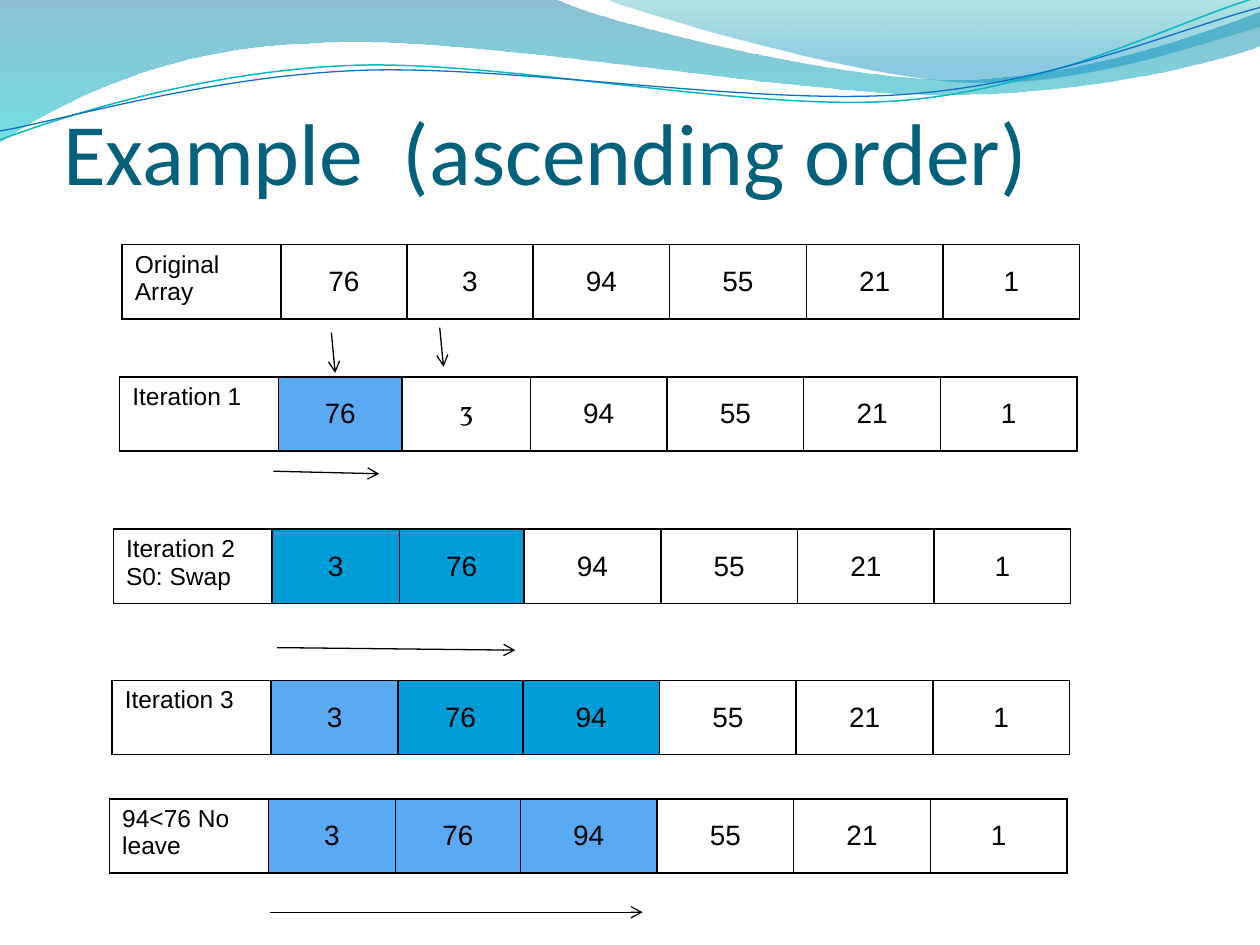
from math import cos, radians, sin

from lxml import etree
from pptx import Presentation
from pptx.dml.color import RGBColor
from pptx.enum.shapes import MSO_CONNECTOR as CONN
from pptx.enum.text import MSO_ANCHOR as ANCHOR, MSO_AUTO_SIZE as AUTO, PP_ALIGN as ALIGN
from pptx.oxml.ns import qn
from pptx.util import Inches, Pt

BLACK, WHITE, LIGHT, DARK = "000000", "FFFFFF", "59AAF2", "009DD9"
TITLE_COLOR = "04617B"
TABLE_WIDTH, ROW_HEIGHT, LABEL_WIDTH = 7.6, 0.59, 1.26


def rgb(value):
    return RGBColor.from_string(value)


def write(tf, text, font="Arial", size=16, color=BLACK, align=ALIGN.LEFT):
    tf.text = text
    for p in tf.paragraphs:
        p.alignment = align
        for r in p.runs:
            r.font.name, r.font.size = font, Pt(size)
            r.font.color.rgb = rgb(color)


def turn(point, center, degrees):
    """Point turned clockwise about the center."""
    a = radians(degrees)
    dx, dy = point[0] - center[0], point[1] - center[1]
    return (center[0] + dx * cos(a) - dy * sin(a),
            center[1] + dx * sin(a) + dy * cos(a))


class SlideBuilder:
    def __init__(self, prs):
        self.s = prs.slides.add_slide(prs.slide_layouts[5])

    def title(self, text, x, y, w, h):
        sp = self.s.shapes.title
        sp.left, sp.top, sp.width, sp.height = map(Inches, (x, y, w, h))
        tf = sp.text_frame
        tf.auto_size, tf.vertical_anchor = AUTO.NONE, ANCHOR.BOTTOM
        tf.margin_left = tf.margin_right = tf.margin_bottom = 0
        tf.margin_top = Inches(0.05)
        write(tf, text, font="Calibri", size=50, color=TITLE_COLOR)
        # Bring the title in front of the waves
        sp.element.getparent().append(sp.element)

    def outline(self, start, segments, close):
        """Each segment is (end,) for a line or (control, control, end) for a curve."""
        def emu(point):
            return tuple(map(Inches, point))

        fb = self.s.shapes.build_freeform(*emu(start))
        fb.add_line_segments([emu(seg[-1]) for seg in segments], close=close)
        sp = fb.convert_to_shape()
        sp.shadow.inherit = False
        # Turn the lines that have control points into Bezier curves
        lines = list(sp.element.iter(qn("a:lnTo")))
        for line, seg in zip(lines, segments):
            if len(seg) == 3:
                bezier = etree.Element(qn("a:cubicBezTo"))
                for x, y in map(emu, seg):
                    etree.SubElement(bezier, qn("a:pt"),
                                     x=str(x - sp.left), y=str(y - sp.top))
                line.getparent().replace(line, bezier)
        return sp

    def wave(self, start, segments, stops):
        """Filled wave; each stop is (position, color, opacity in percent)."""
        sp = self.outline(start, segments, close=True)
        sp.line.fill.background()
        sp.fill.gradient()
        sp.fill.gradient_angle = 270
        for stop, (position, color, _) in zip(sp.fill.gradient_stops, stops):
            stop.position, stop.color.rgb = position, rgb(color)
        for clr, (_, _, opacity) in zip(sp.element.spPr.iter(qn("a:srgbClr")), stops):
            etree.SubElement(clr, qn("a:alpha"), val=str(opacity * 1000))

    def wave_line(self, start, segments, center, color, width, tilt=2.7):
        level = [[turn(pt, center, tilt) for pt in seg] for seg in segments]
        sp = self.outline(turn(start, center, tilt), level, close=False)
        sp.rotation = 360 - tilt
        sp.fill.background()
        sp.line.color.rgb, sp.line.width = rgb(color), Pt(width)

    def array(self, x, y, label, values, fills, pair_widths, fonts):
        widths = [LABEL_WIDTH] + pair_widths
        widths += [(TABLE_WIDTH - sum(widths)) / 4] * 4
        table = self.s.shapes.add_table(1, len(widths), Inches(x), Inches(y),
                                        Inches(TABLE_WIDTH), Inches(ROW_HEIGHT)).table
        table.first_row = table.horz_banding = False
        for column, width in zip(table.columns, widths):
            column.width = Inches(width)
        for i, text in enumerate([label] + values):
            cell = table.cell(0, i)
            self.borders(cell)
            cell.fill.solid()
            cell.fill.fore_color.rgb = rgb(fills.get(i, WHITE))
            if i == 0:
                write(cell.text_frame, text, size=14)
            else:
                cell.vertical_anchor = ANCHOR.MIDDLE
                write(cell.text_frame, text, font=fonts.get(i, "Arial"), align=ALIGN.CENTER)

    def borders(self, cell):
        tcPr = cell._tc.get_or_add_tcPr()
        for side in ("a:lnL", "a:lnR", "a:lnT", "a:lnB"):
            ln = etree.SubElement(tcPr, qn(side), w=str(Pt(1)))
            fill = etree.SubElement(ln, qn("a:solidFill"))
            etree.SubElement(fill, qn("a:srgbClr"), val=BLACK)

    def arrow(self, x1, y1, x2, y2):
        c = self.s.shapes.add_connector(CONN.STRAIGHT, *map(Inches, (x1, y1, x2, y2)))
        c.line.color.rgb, c.line.width = rgb(BLACK), Pt(0.75)
        etree.SubElement(c.line._get_or_add_ln(), qn("a:tailEnd"), type="arrow")
        etree.SubElement(c._element.spPr, qn("a:effectLst"))


def main():
    prs = Presentation()
    prs.slide_width, prs.slide_height = Inches(10), Inches(7.5)
    b = SlideBuilder(prs)

    # Waves across the top
    b.wave((0, 0), [
        ((4.4, -0.01),),
        ((4.76, 0.17), (6.64, 0.63), (7.58, 0.63)),
        ((8.53, 0.63), (9.58, 0.26), (10, 0.09)),
        ((10.01, 0.36),),
        ((9.83, 0.44), (8.7, 0.76), (7.46, 0.75)),
        ((6.22, 0.75), (3.82, 0.28), (2.57, 0.34)),
        ((1.29, 0.36), (0.46, 0.83), (-0.01, 1.13)),
    ], [(0, "0074A1", 45), (1, "00C6CF", 55)])
    b.wave((4.79, -0.01), [
        ((5.09, 0.11), (6.82, 0.62), (7.69, 0.65)),
        ((8.56, 0.69), (9.61, 0.32), (10, 0.21)),
        ((10, 0),),
    ], [(0, "00A1A9", 30), (0.8, "008BBF", 45)])
    b.wave_line((0, 1.11), [
        ((0.48, 0.93), (1.58, 0.57), (2.77, 0.52)),
        ((3.95, 0.47), (5.93, 0.89), (7.13, 0.8)),
        ((8.33, 0.71), (9.38, 0.15), (9.98, -0.02)),
    ], (4.99, 0.57), "0AB8BF", 0.85)
    b.wave_line((0, 1.04), [
        ((0.47, 0.96), (1.64, 0.61), (2.83, 0.56)),
        ((4.03, 0.51), (5.97, 0.84), (7.17, 0.75)),
        ((8.36, 0.67), (9.41, 0.21), (10, 0.06)),
    ], (5, 0.59), "0F6FC6", 0.75)

    b.title("Example  (ascending order)", 0.5, 0.36, 9, 1.25)

    # Array states: place, label, first two values, their widths, fills, fonts
    before, after = ["76", "3"], ["3", "76"]
    states = [
        (0.97, 1.94, "Original Array", before, [1, 1], {}, {}),
        (0.95, 2.99, "Iteration 1", before, [0.98, 1.02], {1: LIGHT}, {2: "Vollkorn"}),
        (0.9, 4.2, "Iteration 2\nS0: Swap", after, [1.01, 0.99], {1: DARK, 2: DARK}, {}),
        (0.89, 5.4, "Iteration 3", after, [1.01, 0.99],
         {1: LIGHT, 2: DARK, 3: DARK}, {}),
        (0.87, 6.34, "94<76 No\nleave", after, [1.01, 0.99],
         dict.fromkeys((1, 2, 3), LIGHT), {}),
    ]
    for x, y, label, pair, pair_widths, fills, fonts in states:
        b.array(x, y, label, pair + ["94", "55", "21", "1"], fills, pair_widths, fonts)

    # Arrows: the sorted part under each array, then the compared values
    for ends in [(2.17, 3.74, 3.01, 3.76), (2.2, 5.14, 4.09, 5.16),
                 (2.14, 7.24, 5.1, 7.24),
                 (2.63, 2.64, 2.66, 2.96), (3.49, 2.6, 3.52, 2.91)]:
        b.arrow(*ends)

    prs.save("out.pptx")


if __name__ == "__main__":
    main()
